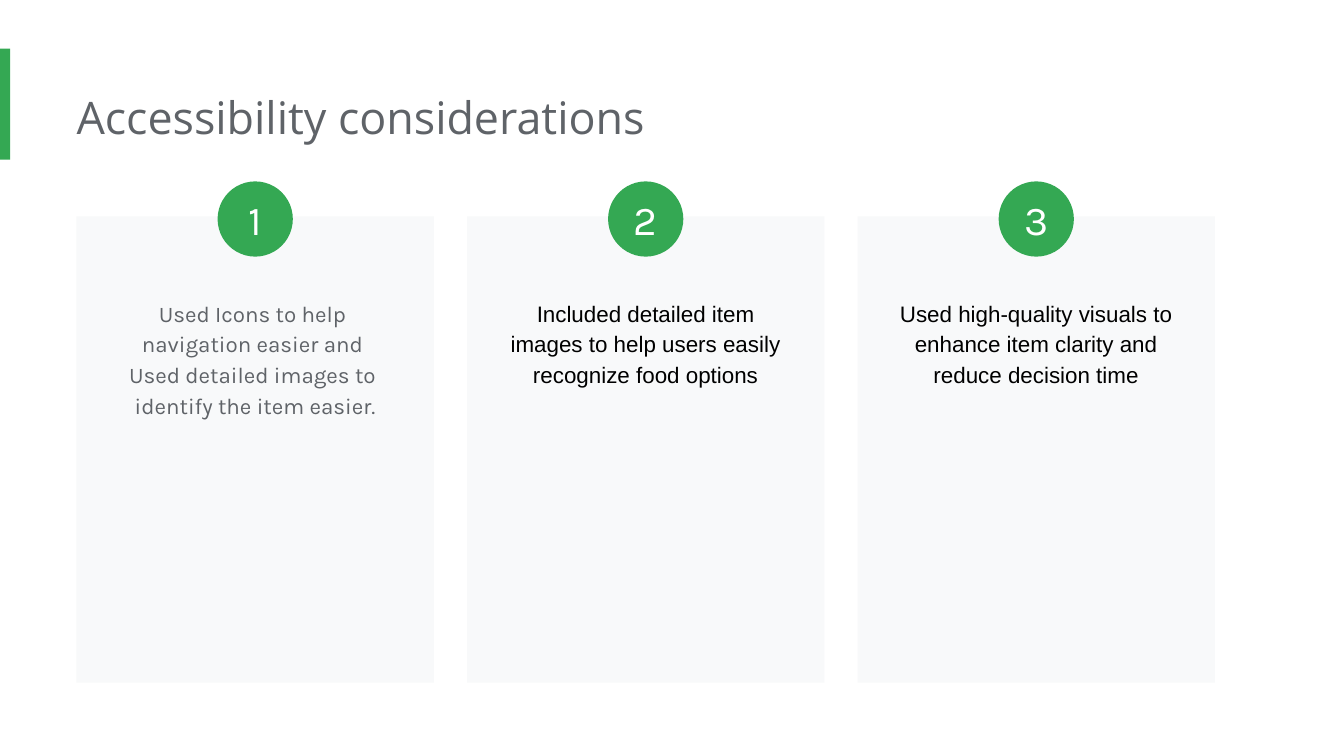
from typing import NamedTuple

from pptx import Presentation
from pptx.dml.color import RGBColor
from pptx.enum.shapes import MSO_SHAPE as SHAPE
from pptx.enum.text import MSO_ANCHOR as ANCHOR, MSO_AUTO_SIZE as AUTO, PP_ALIGN as ALIGN
from pptx.util import Pt

GREEN, GRAY, PALE, WHITE, BLACK = "34A853", "5F6368", "F8F9FA", "FFFFFF", "000000"
LEFT, TOP, CARD_W, CARD_H, PITCH = 41, 116, 191.5, 249.8, 209.2
BADGE, BADGE_TOP = 40.3, 97.2
TEXT_W, TEXT_TOP, TEXT_H = 161.3, 151.2, 81.4


class Card(NamedTuple):
    text: str
    font: str
    color: str


CARDS = [
    Card("Used Icons to help  navigation easier and  Used detailed images to  "
         "identify the item easier.", "Karla", GRAY),
    Card("Included detailed item images to help users easily recognize food options",
         "Arial", BLACK),
    Card("Used high-quality visuals to enhance item clarity and reduce decision time",
         "Arial", BLACK),
]


def rgb(color: str) -> RGBColor:
    """Turn a hex string into a colour."""
    return RGBColor.from_string(color)


def write(sp, text: str, *, font: str, size: float, color: str, align=ALIGN.CENTER,
          anchor=ANCHOR.TOP, insets=(7.2, 7.2, 7.2, 7.2), spacing: float = 1.0) -> None:
    """Put one formatted paragraph into a shape."""
    tf = sp.text_frame
    tf.word_wrap, tf.auto_size, tf.vertical_anchor = True, AUTO.NONE, anchor
    tf.margin_left, tf.margin_top, tf.margin_right, tf.margin_bottom = map(Pt, insets)
    p = tf.paragraphs[0]
    p.alignment, p.line_spacing = align, spacing
    p.space_before = Pt(0)
    r = p.add_run()
    r.text = text
    r.font.name, r.font.size = font, Pt(size)
    r.font.color.rgb = rgb(color)


def add_block(s, kind, x: float, y: float, w: float, h: float, color: str):
    """Add a flat filled shape without an outline."""
    sp = s.shapes.add_shape(kind, Pt(x), Pt(y), Pt(w), Pt(h))
    sp.shadow.inherit = False
    sp.fill.solid()
    sp.fill.fore_color.rgb = rgb(color)
    sp.line.fill.background()
    return sp


def add_card(s, x: float, card: Card) -> None:
    """Add a card panel with its text."""
    add_block(s, SHAPE.RECTANGLE, x, TOP, CARD_W, CARD_H, PALE)
    box = s.shapes.add_textbox(Pt(x + (CARD_W - TEXT_W) / 2), Pt(TEXT_TOP),
                               Pt(TEXT_W), Pt(TEXT_H))
    write(box, card.text, font=card.font, size=12, color=card.color, spacing=1.15)


def add_badge(s, x: float, number: int) -> None:
    """Add a numbered circle centred over a card."""
    sp = add_block(s, SHAPE.OVAL, x + (CARD_W - BADGE) / 2, BADGE_TOP, BADGE, BADGE, GREEN)
    write(sp, str(number), font="Karla", size=22, color=WHITE,
          anchor=ANCHOR.MIDDLE, insets=(0, 0, 0, 0))


def main() -> None:
    """Build and save the slide."""
    prs = Presentation()
    prs.slide_width, prs.slide_height = Pt(720), Pt(405)
    s = prs.slides.add_slide(prs.slide_layouts[5])
    add_block(s, SHAPE.RECTANGLE, 0, 26, 5.5, 59.5, GREEN)
    title = s.shapes.title
    title.left, title.top, title.width, title.height = map(Pt, (LEFT, 41, 551.5, 44))
    write(title, "Accessibility considerations", font="Open Sans", size=24, color=GRAY,
          align=ALIGN.LEFT, insets=(0, 7.2, 7.2, 7.2))
    columns = [LEFT + i * PITCH for i in range(len(CARDS))]
    for x, card in zip(columns, CARDS):
        add_card(s, x, card)
    for number, x in enumerate(columns, 1):
        add_badge(s, x, number)
    prs.save("out.pptx")


if __name__ == "__main__":
    main()
